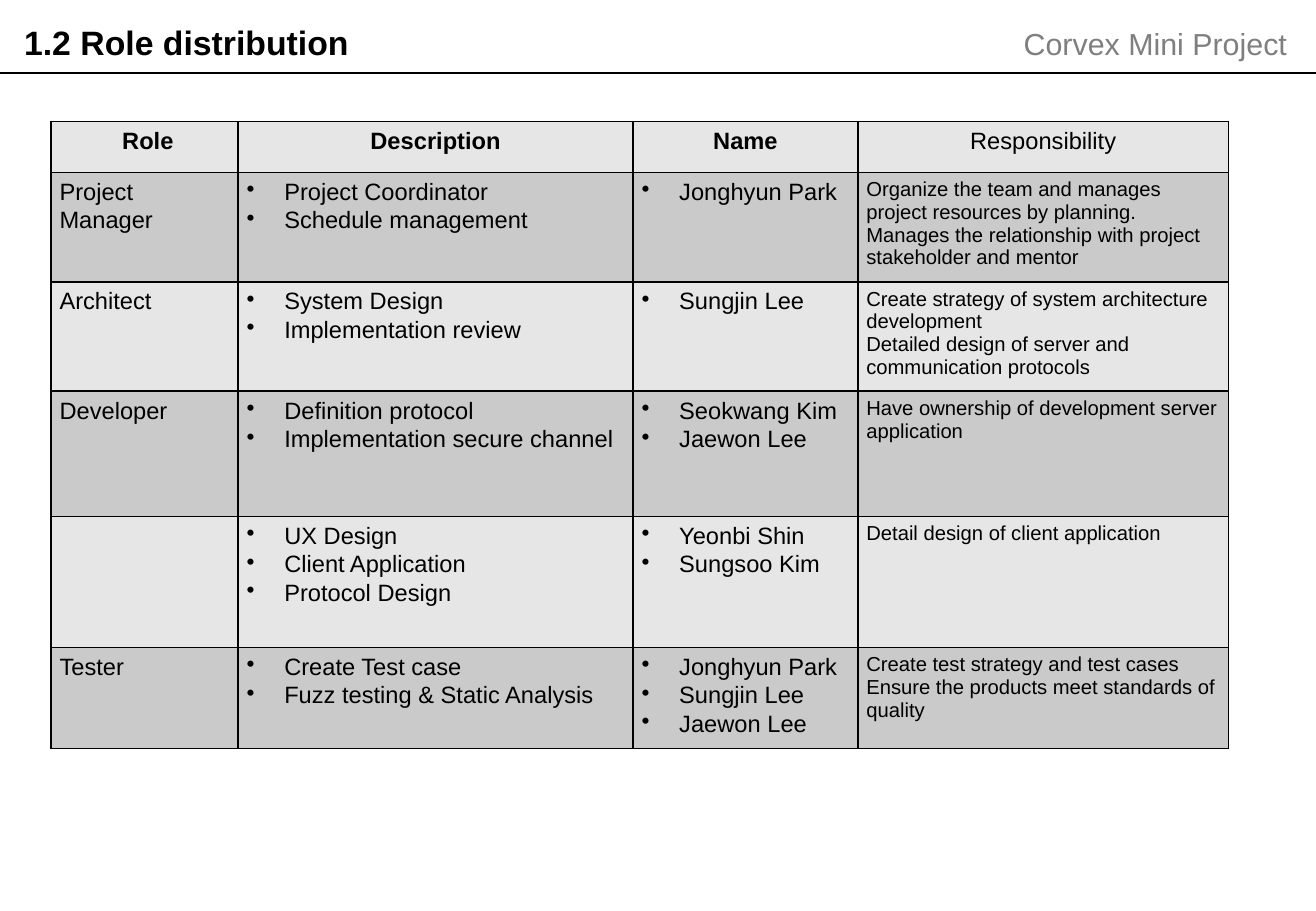
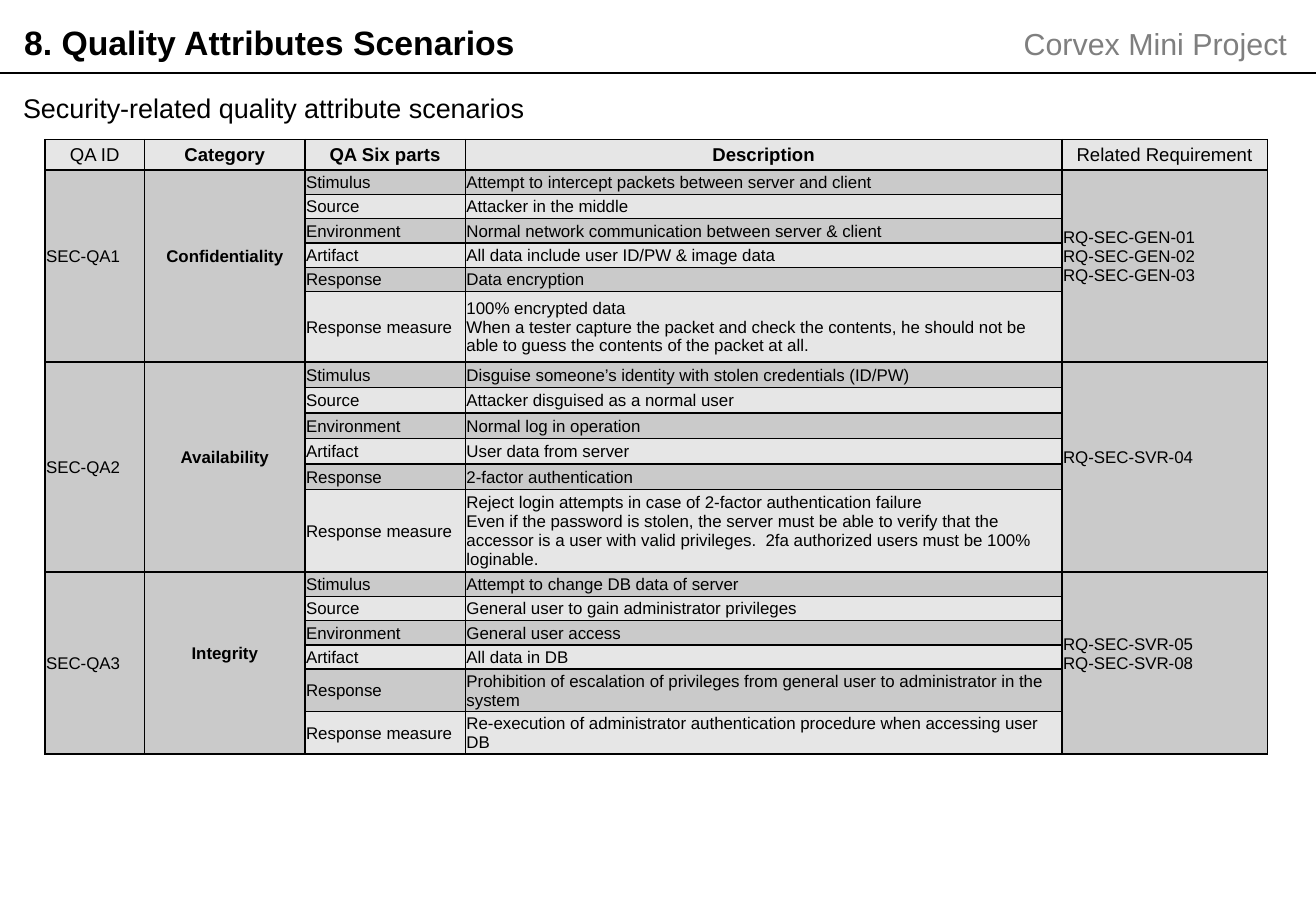
import pptx
import pptx.dml.color
import pptx.enum.shapes
import pptx.enum.text
import pptx.oxml
import pptx.oxml.ns
import pptx.util
from lxml import etree

BLACK = pptx.dml.color.RGBColor(0x00, 0x00, 0x00)
GREY = pptx.dml.color.RGBColor(0x7F, 0x7F, 0x7F)
LIGHT = pptx.dml.color.RGBColor(0xE6, 0xE6, 0xE6)
DARK = pptx.dml.color.RGBColor(0xCA, 0xCA, 0xCA)
FONT = "Arial"
PROJECT = "Corvex Mini Project"
SLIDE_WIDTH, SLIDE_HEIGHT = 10.83, 7.5

CENTER = pptx.enum.text.PP_ALIGN.CENTER
LEFT = pptx.enum.text.PP_ALIGN.LEFT
RIGHT = pptx.enum.text.PP_ALIGN.RIGHT
MIDDLE = pptx.enum.text.MSO_ANCHOR.MIDDLE
TOP = pptx.enum.text.MSO_ANCHOR.TOP

ROLE_TITLE = "1.2 Role distribution"
ROLE_HEADERS = [" Role", "Description", "Name", "Responsibility"]
ROLE_WIDTHS = [1.54, 3.25, 1.85, 3.05]
ROLE_HEIGHTS = [0.42, 0.9, 0.9, 1.03, 1.08, 0.83]
ROLES = [
    ("Project Manager",
     "Project Coordinator\nSchedule management",
     "Jonghyun Park",
     "Organize the team and manages project resources by planning. "
     "Manages the relationship with project stakeholder and mentor"),
    ("Architect",
     "System Design\nImplementation review",
     "Sungjin Lee",
     "Create strategy of system architecture development\n"
     "Detailed design of server and communication protocols"),
    ("Developer",
     "Definition protocol\nImplementation secure channel",
     "Seokwang Kim\nJaewon Lee",
     "Have ownership of development server application"),
    ("",
     "UX Design\nClient Application\nProtocol Design",
     "Yeonbi Shin\nSungsoo Kim",
     "Detail design of client application"),
    ("Tester",
     "Create Test case\nFuzz testing & Static Analysis",
     "Jonghyun Park\nSungjin Lee\nJaewon Lee",
     "Create test strategy and test cases\n"
     "Ensure the products meet standards of quality"),
]
ROLE_FORMATS = [
    dict(size=14, spacing=1.07),
    dict(size=14, spacing=1.07, bullet=True),
    dict(size=14, spacing=1.07, bullet=True),
    dict(size=12),
]

QUALITY_TITLE = "8. Quality Attributes Scenarios"
QUALITY_SUBTITLE = "Security-related quality attribute scenarios"
QUALITY_HEADERS = ["QA ID", "Category", "QA Six parts", "Description", "Related Requirement"]
QUALITY_WIDTHS = [0.82, 1.32, 1.32, 4.91, 1.69]
QUALITY_HEIGHTS = [0.25] + [0.2] * 5 + [0.58] + [0.21] * 5 + [0.68] + [0.2] * 4 + [0.35] * 2
PARTS = ["Stimulus", "Source", "Environment", "Artifact", "Response", "Response measure"]
SCENARIOS = [
    ("SEC-QA1", "Confidentiality", "RQ-SEC-GEN-01\nRQ-SEC-GEN-02\nRQ-SEC-GEN-03", [
        "Attempt to intercept packets between server and client",
        "Attacker in the middle",
        "Normal network communication between server & client",
        "All data include user ID/PW & image data",
        "Data encryption",
        "100% encrypted data\n"
        "When a tester capture the packet and check the contents, he should not be "
        "able to guess the contents of the packet at all."]),
    ("SEC-QA2", "Availability", "RQ-SEC-SVR-04", [
        "Disguise someone’s identity with stolen credentials (ID/PW)",
        "Attacker disguised as a normal user",
        "Normal log in operation",
        "User data from server",
        "2-factor authentication",
        "Reject login attempts in case of 2-factor authentication failure\n"
        "Even if the password is stolen, the server must be able to verify that the "
        "accessor is a user with valid privileges.  2fa authorized users must be 100% "
        "loginable."]),
    ("SEC-QA3", "Integrity", "RQ-SEC-SVR-05\nRQ-SEC-SVR-08", [
        "Attempt to change DB data of server",
        "General user to gain administrator privileges",
        "General user access",
        "All data in DB",
        "Prohibition of escalation of privileges from general user to administrator in the system",
        "Re-execution of administrator authentication procedure when accessing user DB"]),
]


def write(frame, text, *, size, bold=False, color=BLACK, align=LEFT, spacing=None, bullet=False):
    for index, line in enumerate(text.split("\n")):
        paragraph = frame.add_paragraph() if index else frame.paragraphs[0]
        paragraph.alignment = align
        if spacing:
            paragraph.line_spacing = spacing
        if bullet:
            properties = paragraph._p.get_or_add_pPr()
            properties.set("marL", str(pptx.util.Inches(0.31)))
            properties.set("indent", str(-pptx.util.Inches(0.31)))
            mark = etree.SubElement(properties, pptx.oxml.ns.qn("a:buChar"))
            mark.set("char", "•")
        if not line:
            continue
        run = paragraph.add_run()
        run.text = line
        run.font.name = FONT
        run.font.size = pptx.util.Pt(size)
        run.font.bold = bold
        run.font.color.rgb = color


def set_margins(target, horizontal, top, bottom):
    target.margin_left = target.margin_right = pptx.util.Inches(horizontal)
    target.margin_top = pptx.util.Inches(top)
    target.margin_bottom = pptx.util.Inches(bottom)


def add_text(slide, box, text, margins=(0.1, 0.05, 0.05), **text_format):
    frame = slide.shapes.add_textbox(*map(pptx.util.Inches, box)).text_frame
    frame.word_wrap = True
    frame.auto_size = pptx.enum.text.MSO_AUTO_SIZE.SHAPE_TO_FIT_TEXT
    set_margins(frame, *margins)
    write(frame, text, **text_format)


def add_page(presentation, title):
    slide = presentation.slides.add_slide(presentation.slide_layouts[6])
    rule = slide.shapes.add_connector(
        pptx.enum.shapes.MSO_CONNECTOR.STRAIGHT,
        *map(pptx.util.Inches, (0, 0.6, SLIDE_WIDTH, 0.6)))
    rule.line.color.rgb = BLACK
    rule.line.width = pptx.util.Pt(0.75)
    etree.SubElement(rule._element.spPr, pptx.oxml.ns.qn("a:effectLst"))
    add_text(slide, (0.1, 0.13, 6.4, 0.44), title, size=20, bold=True)
    add_text(slide, (7.62, 0.16, 3.07, 0.4), PROJECT, size=18, color=GREY, align=RIGHT)
    return slide


def add_borders(cell):
    properties = cell._tc.get_or_add_tcPr()
    for side in ("lnL", "lnR", "lnT", "lnB"):
        properties.append(pptx.oxml.parse_xml(
            f'<a:{side} {pptx.oxml.ns.nsdecls("a")} w="{pptx.util.Pt(1)}">'
            f'<a:solidFill><a:srgbClr val="{BLACK}"/></a:solidFill></a:{side}>'))


def add_grid(slide, left, top, widths, heights, margins, anchor):
    table = slide.shapes.add_table(
        len(heights), len(widths),
        *map(pptx.util.Inches, (left, top, sum(widths), sum(heights)))).table
    table.first_row = table.horz_banding = False
    for column, width in zip(table.columns, widths):
        column.width = pptx.util.Inches(width)
    for index, (row, height) in enumerate(zip(table.rows, heights)):
        row.height = pptx.util.Inches(height)
        for cell in row.cells:
            add_borders(cell)
            cell.fill.solid()
            cell.fill.fore_color.rgb = DARK if index % 2 else LIGHT
            cell.vertical_anchor = anchor
            set_margins(cell, *margins)
    return table


def add_headers(table, headers, plain, **text_format):
    for column, header in enumerate(headers):
        write(table.cell(0, column).text_frame, header, bold=header not in plain,
              align=CENTER, **text_format)


def build_roles(presentation):
    slide = add_page(presentation, ROLE_TITLE)
    table = add_grid(slide, 0.42, 1, ROLE_WIDTHS, ROLE_HEIGHTS, (0.07, 0.04, 0.04), TOP)
    add_headers(table, ROLE_HEADERS, ["Responsibility"], size=14, spacing=1.07)
    for row, texts in enumerate(ROLES, 1):
        for column, (text, text_format) in enumerate(zip(texts, ROLE_FORMATS)):
            write(table.cell(row, column).text_frame, text, **text_format)
        set_margins(table.cell(row, 3), 0.07, 0.05, 0.05)


def build_scenarios(presentation):
    slide = add_page(presentation, QUALITY_TITLE)
    add_text(slide, (0.11, 0.71, 10.58, 0.35), QUALITY_SUBTITLE, (0.08, 0.04, 0.04), size=16)
    table = add_grid(slide, 0.37, 1.15, QUALITY_WIDTHS, QUALITY_HEIGHTS, (0.01, 0.01, 0), MIDDLE)
    add_headers(table, QUALITY_HEADERS, ["QA ID", "Related Requirement"], size=11)
    for group, (identifier, category, requirements, descriptions) in enumerate(SCENARIOS):
        first = 1 + group * len(PARTS)
        for column, text in ((0, identifier), (1, category), (4, requirements)):
            cell = table.cell(first, column)
            cell.merge(table.cell(first + len(PARTS) - 1, column))
            if column or not group:
                set_margins(cell, 0.01, 0.01, 0.16)
            is_category = column == 1
            write(cell.text_frame, text, size=10, bold=is_category,
                  align=CENTER if is_category else LEFT)
        for row, texts in enumerate(zip(PARTS, descriptions), first):
            for column, text in enumerate(texts, 2):
                write(table.cell(row, column).text_frame, text, size=10)


def main():
    presentation = pptx.Presentation()
    presentation.slide_width = pptx.util.Inches(SLIDE_WIDTH)
    presentation.slide_height = pptx.util.Inches(SLIDE_HEIGHT)
    build_roles(presentation)
    build_scenarios(presentation)
    presentation.save("out.pptx")


if __name__ == "__main__":
    main()
